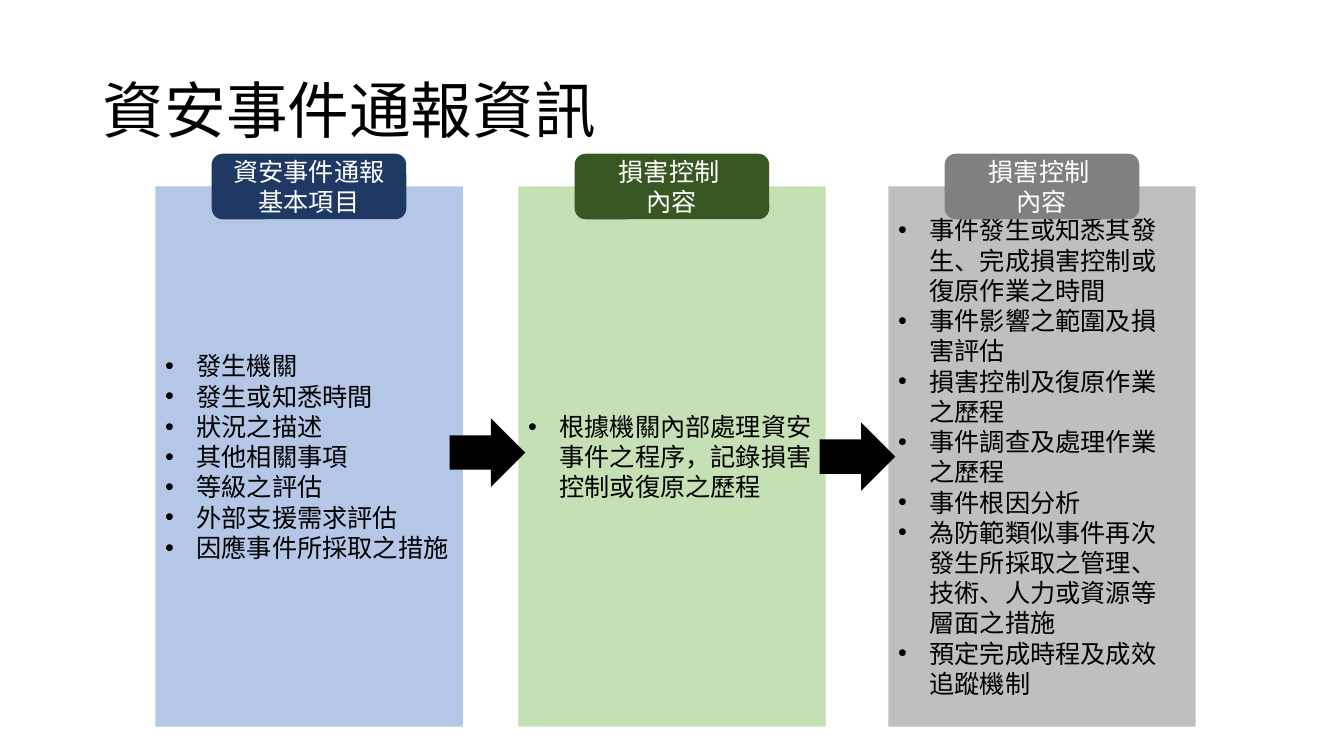
from dataclasses import dataclass

from lxml import etree
from pptx import Presentation
from pptx import util as u
from pptx.dml.color import RGBColor
from pptx.enum import shapes, text
from pptx.oxml.ns import qn


@dataclass(frozen=True)
class Theme:
    font: str = "Calibri"
    title_size: int = 44
    body_size: int = 18
    dark: str = "000000"
    light: str = "FFFFFF"


theme = Theme()

# Each stage: left edge, panel colour, header colour, header lines, list items
stages = [
    (1.54, "B4C7E7", "203864", ["資安事件通報 基本項目"], [
        "發生機關",
        "發生或知悉時間",
        "狀況之描述",
        "其他相關事項",
        "等級之評估",
        "外部支援需求評估",
        "因應事件所採取之措施",
    ]),
    (5.14, "C5E0B4", "385723", ["損害控制 ", "內容"], [
        "根據機關內部處理資安事件之程序，記錄損害控制或復原之歷程",
    ]),
    (8.81, "BFBFBF", "808080", ["損害控制 ", "內容"], [
        "事件發生或知悉其發 生、完成損害控制或 復原作業之時間",
        "事件影響之範圍及損 害評估",
        "損害控制及復原作業 之歷程",
        "事件調查及處理作業 之歷程",
        "事件根因分析",
        "為防範類似事件再次 發生所採取之管理、 技術、人力或資源等 層面之措施",
        "預定完成時程及成效 追蹤機制",
    ]),
]
panel_top, panel_width, panel_height = 1.85, 3.05, 5.36
header_width, header_height = 1.93, 0.65
arrow_width, arrow_height, arrow_lead = 0.75, 0.68, 0.68
arrow_tops = [4.15, 4.19]
bullet_indent = u.Inches(0.31)

presentation = Presentation()
presentation.slide_width = u.Inches(13.33)
presentation.slide_height = u.Inches(7.5)
slide = presentation.slides.add_slide(presentation.slide_layouts[5])


def add_block(kind, left, top, width, height, color):
    shape = slide.shapes.add_shape(kind, *map(u.Inches, (left, top, width, height)))
    shape.shadow.inherit = False
    shape.fill.solid()
    shape.fill.fore_color.rgb = RGBColor.from_string(color)
    shape.line.fill.background()
    return shape


def write_lines(shape, lines, size, color, alignment):
    """Fill a shape with one paragraph per line and return the paragraphs."""
    frame = shape.text_frame
    frame.word_wrap = True
    frame.auto_size = text.MSO_AUTO_SIZE.NONE
    frame.vertical_anchor = text.MSO_ANCHOR.MIDDLE
    for index, line in enumerate(lines):
        paragraph = frame.add_paragraph() if index else frame.paragraphs[0]
        paragraph.alignment = alignment
        run = paragraph.add_run()
        run.text = line
        run.font.name = theme.font
        run.font.size = u.Pt(size)
        run.font.color.rgb = RGBColor.from_string(color)
    return frame.paragraphs


title = slide.shapes.title
title.left, title.top, title.width, title.height = map(u.Inches, (0.92, 0.4, 11.5, 1.45))
title_lines = write_lines(title, ["資安事件通報資訊"], theme.title_size, theme.dark,
                          text.PP_ALIGN.LEFT)
title_lines[0].line_spacing = 0.9

for left, panel_color, _, _, items in stages:
    panel = add_block(shapes.MSO_SHAPE.RECTANGLE, left, panel_top,
                      panel_width, panel_height, panel_color)
    for paragraph in write_lines(panel, items, theme.body_size, theme.dark,
                                 text.PP_ALIGN.LEFT):
        properties = paragraph._p.get_or_add_pPr()
        properties.set("marL", str(bullet_indent))
        properties.set("indent", str(-bullet_indent))
        etree.SubElement(properties, qn("a:buFont"), typeface="Arial")
        etree.SubElement(properties, qn("a:buChar"), char="•")

# Headers are centred on the top edge of their panels
for left, _, header_color, header_lines, _ in stages:
    header = add_block(shapes.MSO_SHAPE.ROUNDED_RECTANGLE,
                       left + (panel_width - header_width) / 2,
                       panel_top - header_height / 2,
                       header_width, header_height, header_color)
    write_lines(header, header_lines, theme.body_size, theme.light, text.PP_ALIGN.CENTER)

# Each arrow leads into the next panel
for (left, *_), top in zip(stages[1:], arrow_tops):
    add_block(shapes.MSO_SHAPE.RIGHT_ARROW, left - arrow_lead, top,
              arrow_width, arrow_height, theme.dark)

presentation.save("out.pptx")
